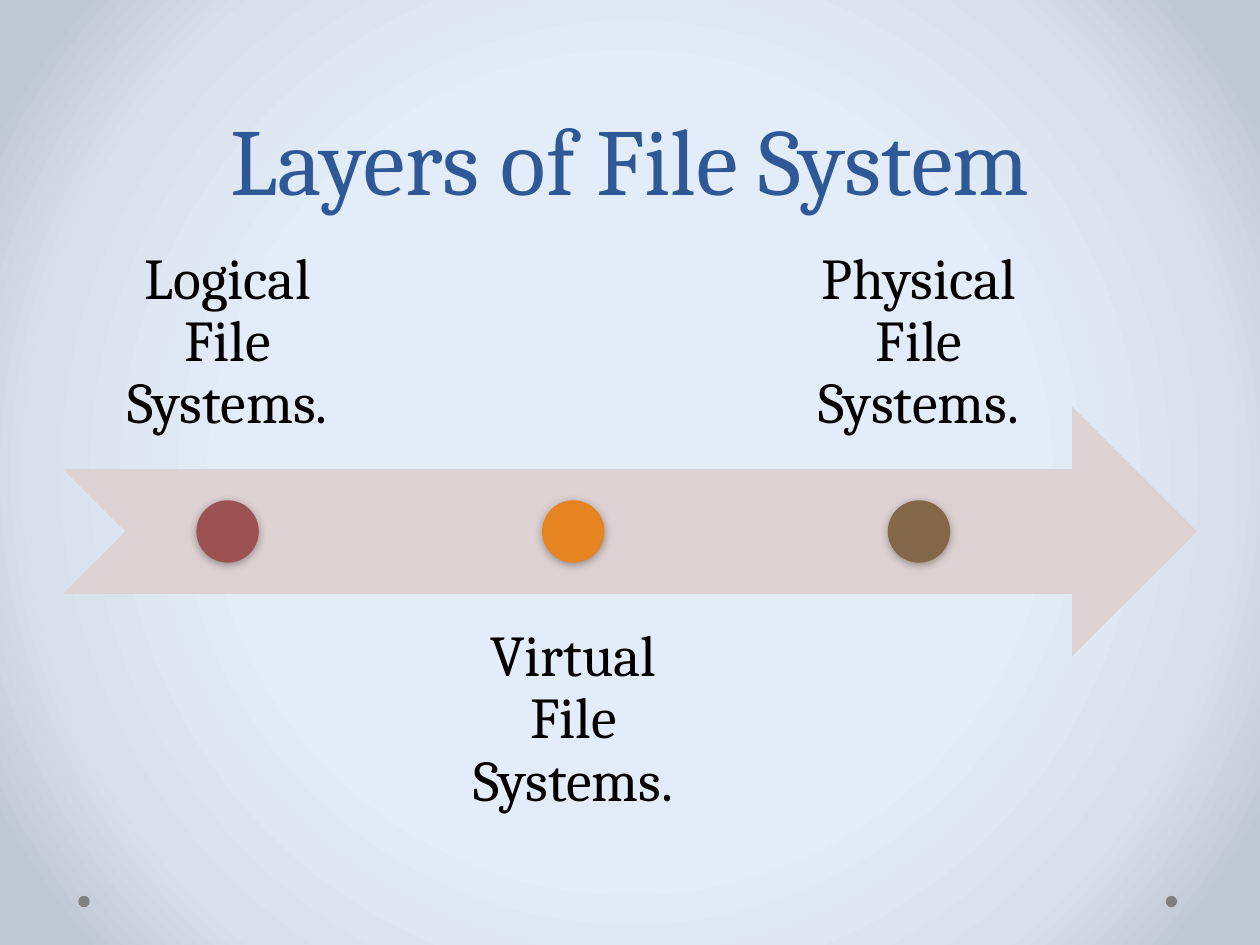
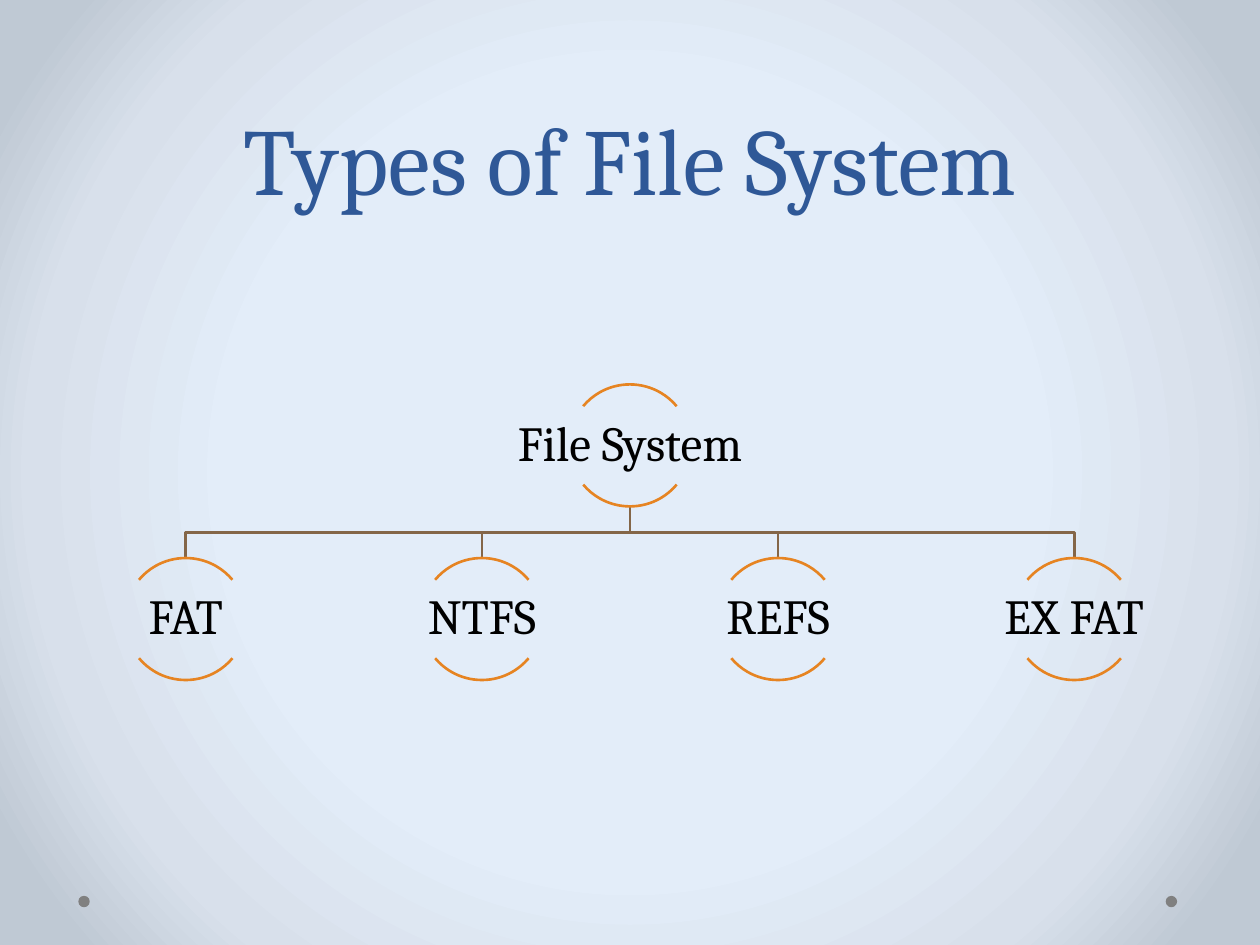
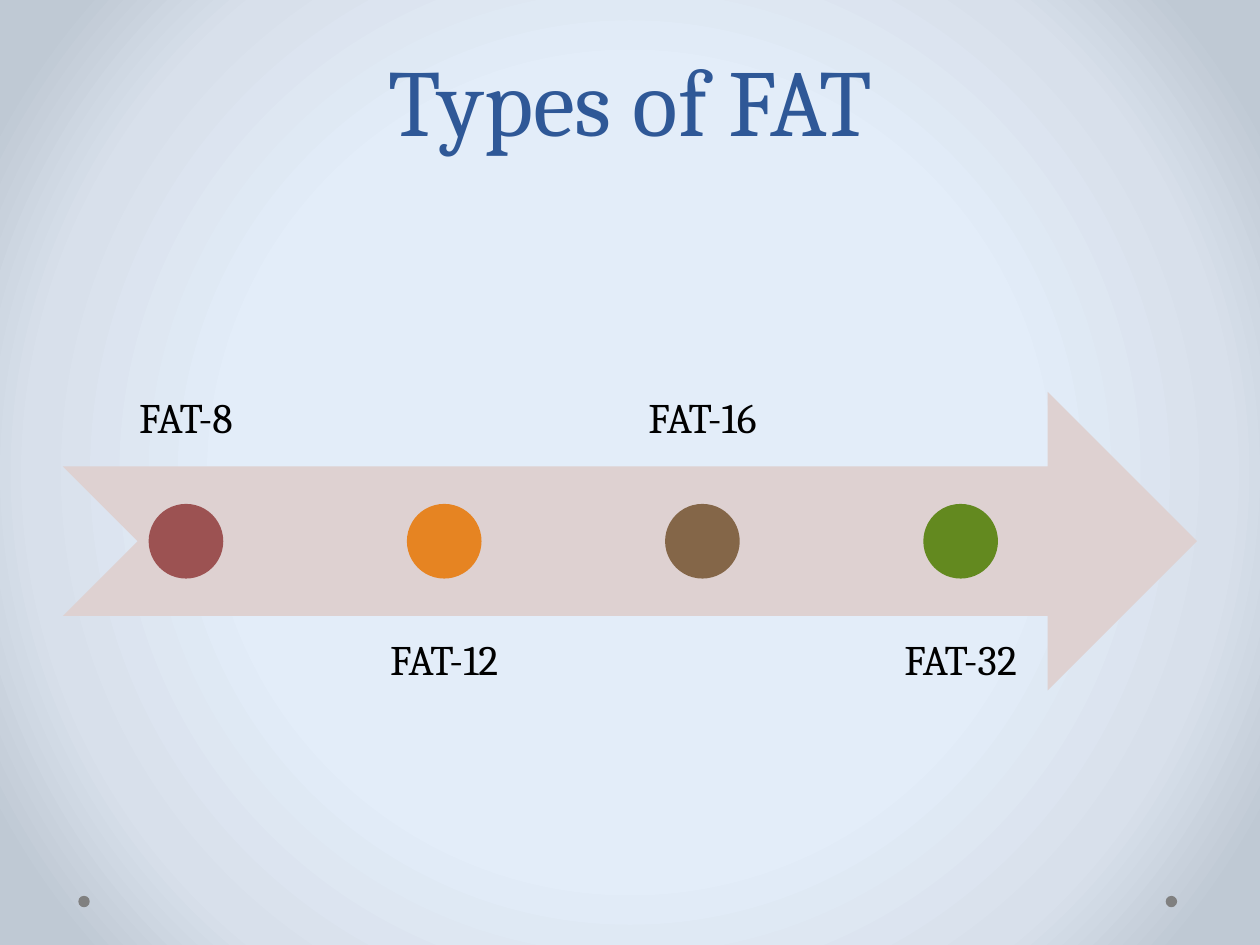
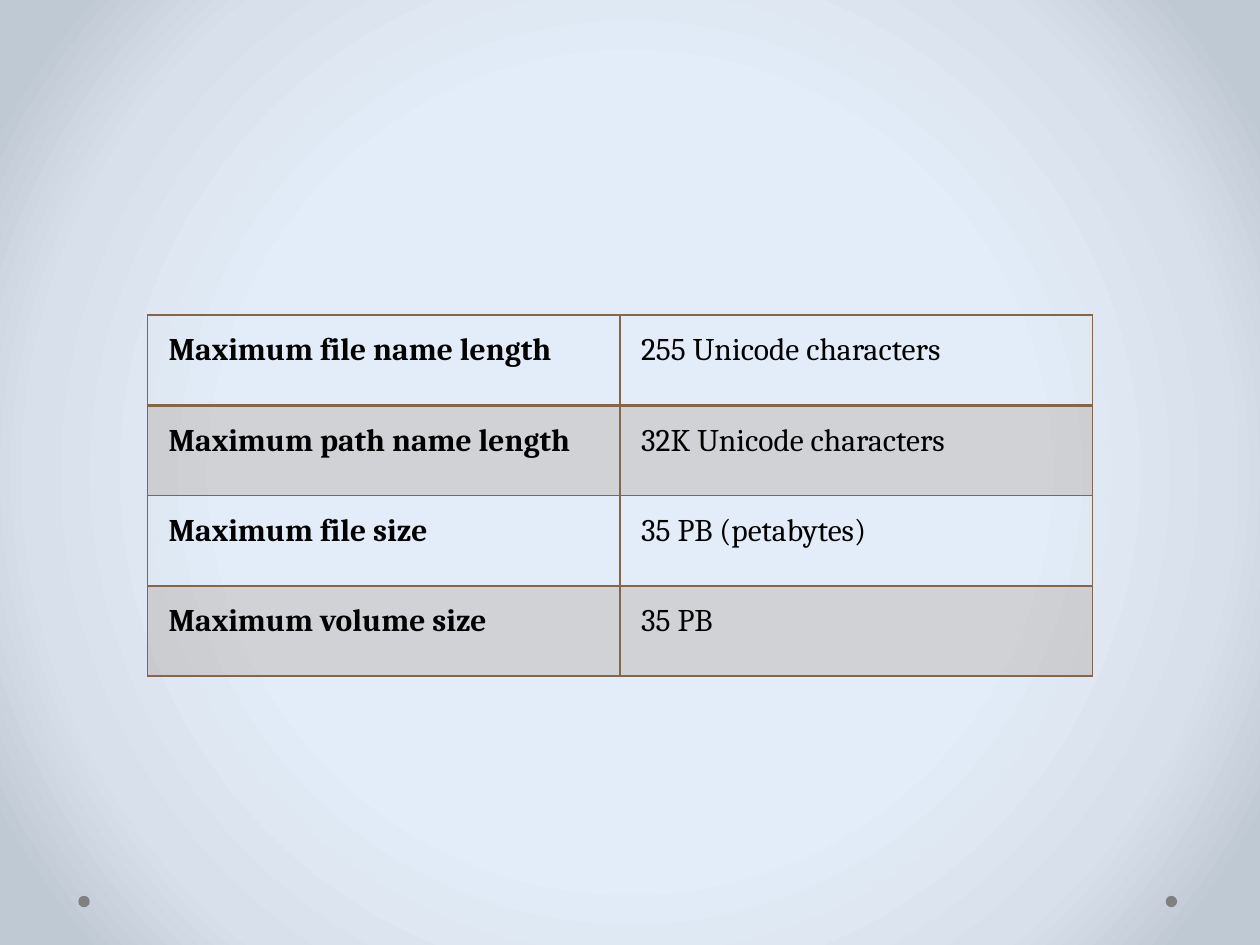
from lxml.etree import SubElement as Sub
from pptx import Presentation
from pptx.dml.color import RGBColor as RGB
from pptx.enum.shapes import MSO_SHAPE as Shape
from pptx.enum.text import MSO_ANCHOR as Anchor, MSO_AUTO_SIZE as Fit, PP_ALIGN as Align
from pptx.oxml import parse_xml
from pptx.oxml.ns import nsdecls, qn
from pptx.util import Cm, Pt

FONT = "Cambria"
BLACK = RGB(0x00, 0x00, 0x00)
BLUE = RGB(0x2F, 0x58, 0x97)
GREY = RGB(0x80, 0x80, 0x80)
PINK = RGB(0xDE, 0xD1, 0xD1)
RED = RGB(0x9C, 0x52, 0x52)
ORANGE = RGB(0xE6, 0x84, 0x22)
BROWN = RGB(0x84, 0x66, 0x48)
GREEN = RGB(0x63, 0x89, 0x1F)
DOTS = [RED, ORANGE, BROWN, GREEN]
GLOW = [(50, RGB(0xE3, 0xED, 0xF9)), (76, RGB(0xD8, 0xE0, 0xEB)), (92, RGB(0xBF, 0xC9, 0xD4))]

LEFT, WIDE, MID = 1.27, 22.86, 12.7  # content edge, width and centre in cm
TITLE_LAYOUT, BLANK_LAYOUT = 5, 6


def box(*sides):
    return [Cm(side) for side in sides]


def write(frame, text, size=18, color=BLACK, bold=False, align=Align.CENTER,
          anchor=Anchor.TOP, pad=None, space=0.9):
    frame.word_wrap = True
    frame.auto_size = Fit.NONE
    frame.vertical_anchor = anchor
    if pad is not None:
        frame.margin_left = frame.margin_right = Cm(pad)
        frame.margin_top = frame.margin_bottom = Cm(pad)
    style(frame.paragraphs[0], text, size, color, bold, align, space)


def style(para, text, size, color, bold, align, space):
    para.alignment = align
    para.line_spacing = space
    run = para.add_run()
    run.text = text
    font = run.font
    font.name, font.size, font.bold = FONT, Pt(size), bold
    font.color.rgb = color


def label(slide, text, x, y, w, h, **look):
    write(slide.shapes.add_textbox(*box(x, y, w, h)).text_frame, text, **look)


def solid(slide, kind, x, y, w, h, color):
    shape = slide.shapes.add_shape(kind, *box(x, y, w, h))
    shape.shadow.inherit = False
    shape.fill.solid()
    shape.fill.fore_color.rgb = color
    shape.line.fill.background()
    return shape


def stroke(shape, color):
    """Leave only a thin outline on the shape."""
    shape.shadow.inherit = False
    shape.fill.background()
    shape.line.color.rgb = color
    shape.line.width = Pt(1.5)


def shade(shape):
    """Add a soft shadow that falls down."""
    effects = shape._element.spPr.find(qn("a:effectLst"))
    outer = Sub(effects, qn("a:outerShdw"), blurRad=str(Pt(5)), dist=str(Pt(1)),
                dir="5400000", algn="ctr", rotWithShape="0")
    color = Sub(outer, qn("a:srgbClr"), val=str(BLACK))
    Sub(color, qn("a:alpha"), val="32000")


def paint(master):
    """Give the master its round gradient."""
    master.background.fill.gradient()
    old = next(master._element.iter(qn("a:gradFill")))
    stops = "".join(f'<a:gs pos="{pos * 1000}"><a:srgbClr val="{color}"/></a:gs>'
                    for pos, color in GLOW)
    new = parse_xml(
        f'<a:gradFill {nsdecls("a")} rotWithShape="1"><a:gsLst>{stops}</a:gsLst>'
        '<a:path path="circle"><a:fillToRect l="50000" t="50000" r="50000" b="50000"/>'
        '</a:path></a:gradFill>')
    old.getparent().replace(old, new)


def page(deck, title=None, top=0, high=4.45):
    layout = BLANK_LAYOUT if title is None else TITLE_LAYOUT
    slide = deck.slides.add_slide(deck.slide_layouts[layout])
    for x in (23.5, 1.58):
        solid(slide, Shape.OVAL, x, 18.06, 0.23, 0.23, GREY)
    if title is not None:
        head = slide.shapes.title
        head.left, head.top, head.width, head.height = box(LEFT, top, WIDE, high)
        write(head.text_frame, title, size=54, color=BLUE, anchor=Anchor.BOTTOM, space=Pt(58))
    return slide


def timeline(slide, names, top, high, size, pad, soft=False):
    """Draw an arrow with dots, and labels in turn above and below it."""
    solid(slide, Shape.NOTCHED_RIGHT_ARROW, LEFT, top, WIDE, high, PINK)
    count = len(names)
    wide = 0.9 * WIDE / (count + 0.05 * (count - 1))
    dot = high / 4
    for i, (name, color) in enumerate(zip(names, DOTS)):
        x = LEFT + i * wide * 1.05
        above = i % 2 == 0
        y = top + high * (-0.75 if above else 0.75)
        label(slide, name, x, y, wide, high, size=size, pad=pad,
              anchor=Anchor.BOTTOM if above else Anchor.TOP)
        mark = solid(slide, Shape.OVAL, x + (wide - dot) / 2, top + 1.5 * dot, dot, dot, color)
        if soft:
            shade(mark)


def node(slide, text, x, y, size):
    """Draw a label between two arcs, centred on x."""
    for ends in ((132, 192), (24, 84)):
        arc = slide.shapes.add_shape(Shape.ARC, *box(x - size / 2, y, size, size))
        arc.adjustments[0], arc.adjustments[1] = ends
        stroke(arc, ORANGE)
    high = 0.64 * size
    label(slide, text, x - size, y + (size - high) / 2, 2 * size, high,
          size=28, pad=0.05, anchor=Anchor.MIDDLE)


def branch(slide, x, y, to_x, to_y):
    mid = (y + to_y) / 2
    pen = slide.shapes.build_freeform(Cm(x), Cm(y))
    pen.add_line_segments([box(x, mid), box(to_x, mid), box(to_x, to_y)], close=False)
    stroke(pen.convert_to_shape(), BROWN)


def tree(slide, root, kids, top=7.75, size=2.46, row=3.5, step=5.97):
    first = MID - step * (len(kids) - 1) / 2
    spots = [first + i * step for i in range(len(kids))]
    for x in reversed(spots):
        branch(slide, MID, top + size, x, top + row)
    node(slide, root, MID, top, size)
    for kid, x in zip(kids, spots):
        node(slide, kid, x, top + row, size)


def edge(cell, side, width):
    line = Sub(cell._tc.get_or_add_tcPr(), qn(f"a:ln{side}"), w=str(Pt(width)))
    Sub(Sub(line, qn("a:solidFill")), qn("a:srgbClr"), val=str(BROWN))


def tint(cell):
    cell.fill.solid()
    cell.fill.fore_color.rgb = BROWN
    color = next(cell._tc.tcPr.find(qn("a:solidFill")).iter(qn("a:srgbClr")))
    Sub(color, qn("a:alpha"), val="20000")


def grid(slide, rows):
    table = slide.shapes.add_table(len(rows), 2, *box(2.97, 6.35, 19.05, 7.28)).table
    table.first_row = table.horz_banding = False
    for r, row in enumerate(rows):
        for c, text in enumerate(row):
            cell = table.cell(r, c)
            write(cell.text_frame, text, bold=c == 0, align=Align.LEFT, space=1.07)
            cell.margin_left = cell.margin_right = Cm(0.43)
            cell.margin_top = cell.margin_bottom = Cm(0.3)
            for side in "LRTB":
                thick = (r, side) in ((0, "B"), (1, "T"))
                edge(cell, side, 2 if thick else 1)
            if r % 2:
                tint(cell)
            else:
                cell.fill.background()


def main():
    deck = Presentation()
    deck.slide_width, deck.slide_height = box(25.4, 19.05)
    paint(deck.slide_master)

    layers = page(deck, "Layers of File System")
    timeline(layers, [f"{kind} File Systems." for kind in ("Logical", "Virtual", "Physical")],
             top=8.2, high=5.03, size=33, pad=0.66, soft=True)

    types = page(deck, "Types of File System")
    tree(types, "File System", ["FAT", "NTFS", "REFS", "EX FAT"])

    fats = page(deck, "Types of FAT", top=0.08, high=3.18)
    timeline(fats, [f"FAT-{bits}" for bits in (8, 12, 16, 32)],
             top=7.9, high=6.02, size=24, pad=0.48)

    grid(page(deck), [
        ("Maximum file name length", "255 Unicode characters"),
        ("Maximum path name length", "32K Unicode characters"),
        ("Maximum file size", "35 PB (petabytes)"),
        ("Maximum volume size", "35 PB"),
    ])
    deck.save("out.pptx")


if __name__ == "__main__":
    main()
